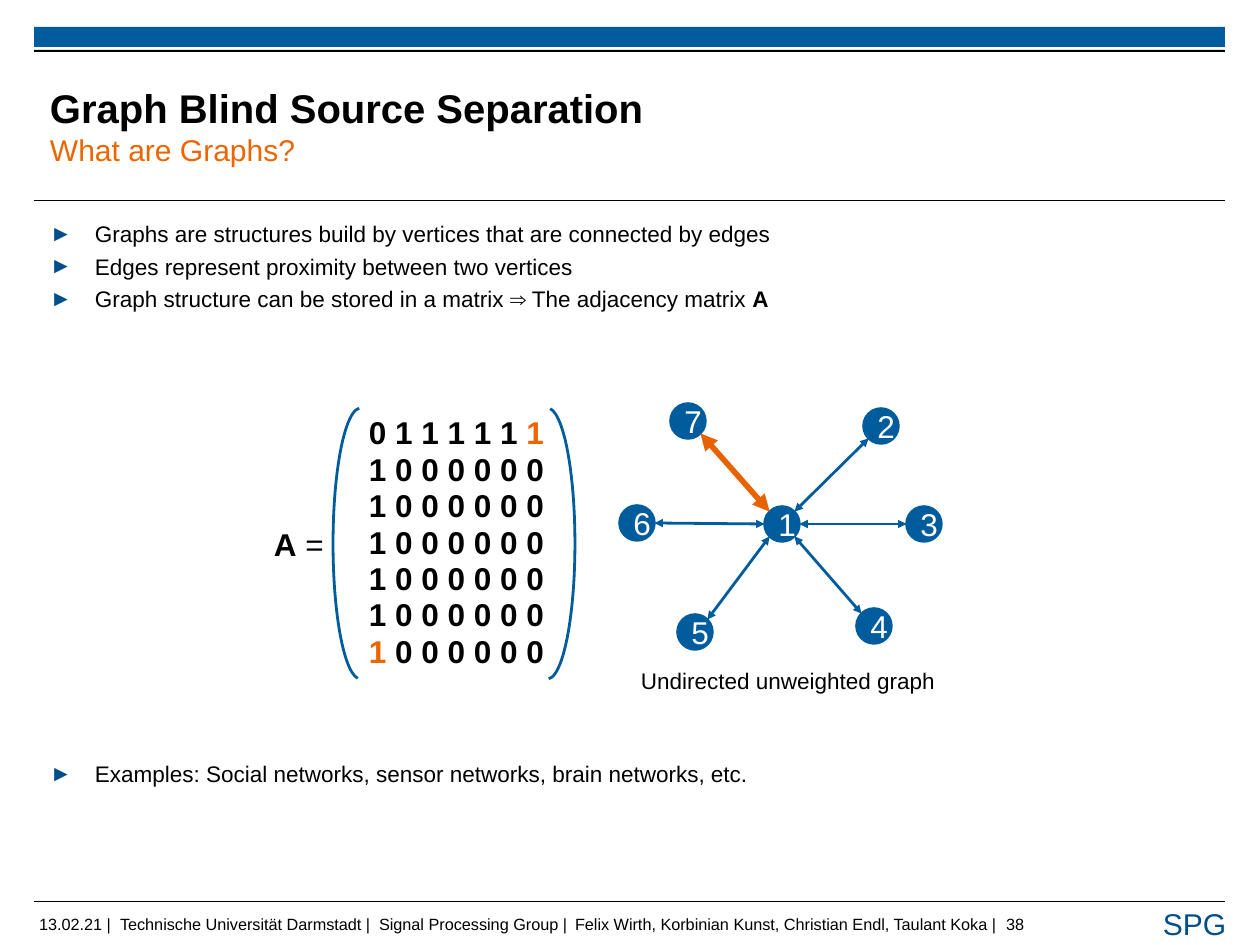
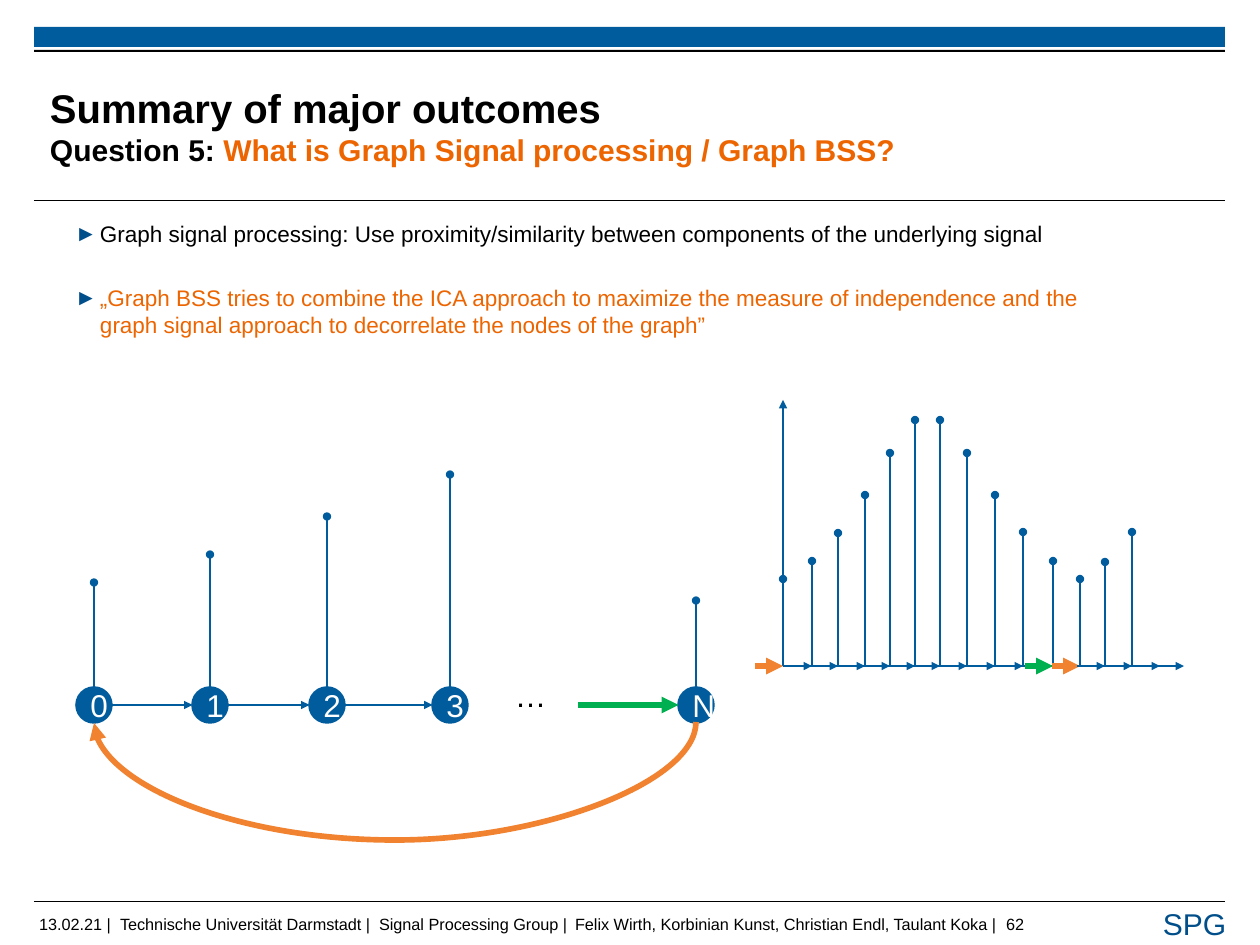
from lxml import etree
from pptx import Presentation
from pptx.dml.color import RGBColor
from pptx.enum.shapes import MSO_CONNECTOR, MSO_SHAPE
from pptx.enum.text import MSO_ANCHOR, PP_ALIGN
from pptx.oxml.ns import qn
from pptx.util import Emu, Pt

STRAIGHT, CURVE = MSO_CONNECTOR.STRAIGHT, MSO_CONNECTOR.CURVE
RECTANGLE, ELLIPSE, ARC = MSO_SHAPE.RECTANGLE, MSO_SHAPE.OVAL, MSO_SHAPE.ARC
MIDDLE, CENTER = MSO_ANCHOR.MIDDLE, PP_ALIGN.CENTER

EMU_PER_PX = 10160
FONT = "Arial"
COLORS = {
    "blue": "005C9C", "dark_blue": "004E8A", "black": "000000", "white": "FFFFFF",
    "orange": "EC6500", "edge_orange": "E76300", "light_orange": "F08230", "green": "00B050",
}
LEFT, RIGHT, RULE_WIDTH = 34, 1225, 1191
NODE = 35
THIN, THICK = 2.25, 4.5
BIG, BODY = 25.2, 18
SAMPLES = [87, 105, 133, 171, 213, 246, 246, 213, 171, 134, 105, 87, 104, 134]


def px(length):
    return Emu(round(length * EMU_PER_PX))


def color(name):
    return RGBColor.from_string(COLORS[name])


# Basic parts

def add_run(para, text, size, ink="black", bold=False):
    span = para.add_run()
    span.text = text
    span.font.name = FONT
    span.font.size = Pt(size)
    span.font.bold = bold
    span.font.color.rgb = color(ink)


def add_text(page, box, runs, wrap=False, inset=True):
    """Place a text box whose first paragraph holds the given runs."""
    shape = page.shapes.add_textbox(*map(px, box))
    frame = shape.text_frame
    frame.word_wrap = wrap
    if not inset:
        frame.margin_left = frame.margin_right = 0
        frame.margin_top = frame.margin_bottom = 0
    for run in runs:
        add_run(frame.paragraphs[0], *run)
    return frame


def add_preset(page, kind, box, fill=None, line=None, width=2):
    shape = page.shapes.add_shape(kind, *map(px, box))
    shape.shadow.inherit = False
    if fill:
        shape.fill.solid()
        shape.fill.fore_color.rgb = color(fill)
    else:
        shape.fill.background()
    if line:
        shape.line.color.rgb = color(line)
        shape.line.width = Pt(width)
    else:
        shape.line.fill.background()
    return shape


def add_line(page, start, end, ink="blue", width=THIN, head=None, tail=None, kind=STRAIGHT):
    line = page.shapes.add_connector(kind, *map(px, (*start, *end)))
    line.line.color.rgb = color(ink)
    line.line.width = Pt(width)
    properties = line._element.spPr
    outline = properties.find(qn("a:ln"))
    for tag, arrow in (("a:headEnd", head), ("a:tailEnd", tail)):
        if arrow:
            etree.SubElement(outline, qn(tag), type=arrow)
    etree.SubElement(properties, qn("a:effectLst"))
    return line


def add_u_curve(page, start_x, end_x, y, depth, ink):
    """Arrow that leaves start downwards and reaches end from below."""
    middle, half = (start_x + end_x) / 2, (start_x - end_x) / 2
    # A connector 1 px wide, turned by 90 degrees; the adjustment sets its depth
    curve = add_line(page, (middle - 0.5, y - half), (middle + 0.5, y + half),
                     ink, THICK, tail="triangle", kind=CURVE)
    properties = curve._element.spPr
    properties.find(qn("a:xfrm")).set("rot", str(90 * 60000))
    geometry = properties.find(qn("a:prstGeom"))
    guides = geometry.find(qn("a:avLst"))
    if guides is None:
        guides = etree.SubElement(geometry, qn("a:avLst"))
    etree.SubElement(guides, qn("a:gd"), name="adj1", fmla=f"val {depth * 100000}")


def add_node(page, center, label):
    x, y = center
    node = add_preset(page, ELLIPSE, (x - NODE / 2, y - NODE / 2, NODE, NODE), "blue", "blue")
    frame = node.text_frame
    frame.vertical_anchor = MIDDLE
    frame.paragraphs[0].alignment = CENTER
    add_run(frame.paragraphs[0], label, BIG, "white")


def add_bullets(page, box, items, margin, hanging):
    """Each item is its space before in points and its runs."""
    frame = add_text(page, box, [], wrap=True, inset=False)
    for index, (space, runs) in enumerate(items):
        para = frame.add_paragraph() if index else frame.paragraphs[0]
        properties = para._p.get_or_add_pPr()
        properties.set("marL", str(px(margin)))
        properties.set("indent", str(-px(hanging)))
        tint = etree.SubElement(properties, qn("a:buClr"))
        etree.SubElement(tint, qn("a:srgbClr"), val=COLORS["dark_blue"])
        etree.SubElement(properties, qn("a:buFont"), typeface=FONT)
        etree.SubElement(properties, qn("a:buChar"), char="►")
        if space:
            para.space_before = Pt(space)
        for run in runs:
            add_run(para, *run)


# Shared frame of every slide

def add_footer(page, number):
    fields = ["13.02.21", "Technische Universität Darmstadt", "Signal Processing Group",
              "Felix Wirth, Korbinian Kunst, Christian Endl, Taulant Koka", str(number)]
    left = LEFT + 5
    frame = add_text(page, (left, 914, 1003, 20), [], wrap=True, inset=False)
    para = frame.paragraphs[0]
    stops = etree.SubElement(para._p.get_or_add_pPr(), qn("a:tabLst"))
    for stop in (120, 379, 575, 1006):
        etree.SubElement(stops, qn("a:tab"), pos=str(px(stop - left)), algn="l")
    add_run(para, " |\t".join(fields), 13)
    add_text(page, (1154, 901, 84, 45), [("SPG", 24, "dark_blue")], wrap=True)


def new_page(deck, number, title, subtitle):
    page = deck.slides.add_slide(deck.slide_layouts[6])
    for y in (901, 200):
        add_line(page, (LEFT, y), (RIGHT, y), "black", 0.6)
    add_preset(page, RECTANGLE, (LEFT, 27, RULE_WIDTH, 20), "blue")
    add_preset(page, RECTANGLE, (LEFT, 50, RULE_WIDTH, 2), "black")
    add_footer(page, number)
    frame = add_text(page, (50, 68, 948, 115), [(title, 32, "black", True)], True, False)
    frame.vertical_anchor = MIDDLE
    frame.paragraphs[0].add_line_break()
    for run in subtitle:
        add_run(frame.paragraphs[0], *run)
    return page


# Slide 1: adjacency matrix and star graph

def add_matrix(page, left, top):
    """Adjacency matrix of a star whose hub is vertex 1, in brackets."""
    size, pitch = 7, 36.4
    for bracket_x, turn in ((68, 180), (255, 0)):
        bracket = add_preset(page, ARC, (left + bracket_x, top, 55, 271), line="blue", width=THIN)
        bracket.adjustments[0], bracket.adjustments[1] = 162.71, 53.66
        bracket.rotation = turn
    for row in range(size):
        runs = []
        for column in range(size):
            value = "1" if (row == 0) != (column == 0) else "0"
            marked = {row, column} == {0, size - 1}
            gap = " " if column < size - 1 else ""
            runs.append((value + gap, BIG, "orange" if marked else "black", True))
        add_text(page, (left + 95, top + 1 + row * pitch, 195, 48), runs)
    add_text(page, (left, top + 113, 68, 48), [("A", BIG, "black", True), (" =", BIG)])


def add_star_graph(page, left, top):
    hub = (left + 150, top + 121)
    # Vertex: centre, and the direction in which it is seen from the hub
    vertices = {
        "7": ((56, 18), (-1, -1)), "2": ((249, 23), (1, -1)), "5": ((63, 229), (-1, 1)),
        "4": ((242, 223), (1, 1)), "6": ((5, 120), (-1, 0)), "3": ((292, 121), (1, 0)),
    }
    add_node(page, hub, "1")
    for label, ((x, y), (across, down)) in vertices.items():
        center = (left + x, top + y)
        add_node(page, center, label)
        reach = NODE / 2 / (across ** 2 + down ** 2) ** 0.5
        start = (hub[0] + across * reach, hub[1] + down * reach)
        end = (center[0] - across * reach, center[1] - down * reach)
        ink, width = ("edge_orange", THICK) if label == "7" else ("blue", THIN)
        add_line(page, start, end, ink, width, "triangle", "triangle")
    add_text(page, (left, top + 260, 315, 36), [("Undirected unweighted graph", BODY)])


def graphs_slide(deck):
    page = new_page(deck, 38, "Graph Blind Source Separation",
                    [("What are Graphs?", 24, "orange")])
    add_bullets(page, (50, 220, 1161, 648), [
        (0, [("Graphs are structures build by vertices that are connected by edges", BODY)]),
        (4.5, [("Edges represent proximity between two vertices", BODY)]),
        (4.5, [("Graph structure can be stored in a matrix ⇒ The adjacency matrix ", BODY),
               ("A", BODY, "black", True)]),
        (358, [("Examples: Social networks, sensor networks, brain networks, etc.", BODY)]),
    ], 45, 45)
    add_matrix(page, 265, 408)
    add_star_graph(page, 632, 403)


# Slide 2: signal on a cyclic graph and its samples

def add_stem(page, x, base, height):
    add_line(page, (x, base), (x, base - height), tail="oval")


def add_stem_plot(page, left, base):
    offsets = [0, 29, 55, 82, 107, 132, 157, 184, 212, 240, 270, 297, 322, 349]
    add_line(page, (left, base), (left, base - 266), tail="triangle")
    add_line(page, (left, base), (left + 401, base), tail="triangle")
    for offset, height in zip(offsets, SAMPLES):
        add_stem(page, left + offset, base, height)
    # One shift arrow ends at each sample
    accents = {0: "light_orange", 270: "green", 297: "light_orange"}
    for offset in offsets + [377]:
        tip = left + offset
        add_line(page, (tip - 28, base), (tip, base), accents.get(offset, "blue"),
                 THICK if offset in accents else THIN, tail="triangle")


def add_cycle_graph(page, left, y):
    radius = NODE / 2
    labels = ["0", "1", "2", "3", "N"]
    centers = [left + offset for offset in (0, 116, 233, 356, 602)]
    for label, x, height in zip(labels, centers, SAMPLES[1:5] + SAMPLES[:1]):
        add_node(page, (x, y), label)
        add_stem(page, x, y - radius, height)
    for start, end in zip(centers[:3], centers[1:4]):
        add_line(page, (start + radius, y), (end - radius, y), tail="triangle")
    add_text(page, (left + 412, y - 33, 54, 48), [("…", BIG)], wrap=True)
    add_line(page, (left + 484, y), (centers[-1] - radius, y), "green", THICK, tail="triangle")
    add_u_curve(page, centers[-1], centers[0], y + radius, 119, "light_orange")


def summary_slide(deck):
    page = new_page(deck, 62, "Summary of major outcomes", [
        ("Question 5: ", 24, "black", True),
        ("What is Graph Signal processing / Graph BSS?", 24, "orange", True)])
    add_bullets(page, (50, 220, 1048, 648), [
        (0, [("Graph signal processing: Use proximity/similarity between components "
              "of the underlying signal", BODY)]),
        (29.7, [("„Graph BSS tries to combine the ICA approach to maximize the measure of "
                 "independence and the graph signal approach to decorrelate the nodes "
                 "of the graph”", BODY, "orange")]),
    ], 50, 25)
    add_stem_plot(page, 783, 666)
    add_cycle_graph(page, 94, 705)


def main():
    deck = Presentation()
    deck.slide_width, deck.slide_height = px(1260), px(945)
    graphs_slide(deck)
    summary_slide(deck)
    deck.save("out.pptx")


if __name__ == "__main__":
    main()
